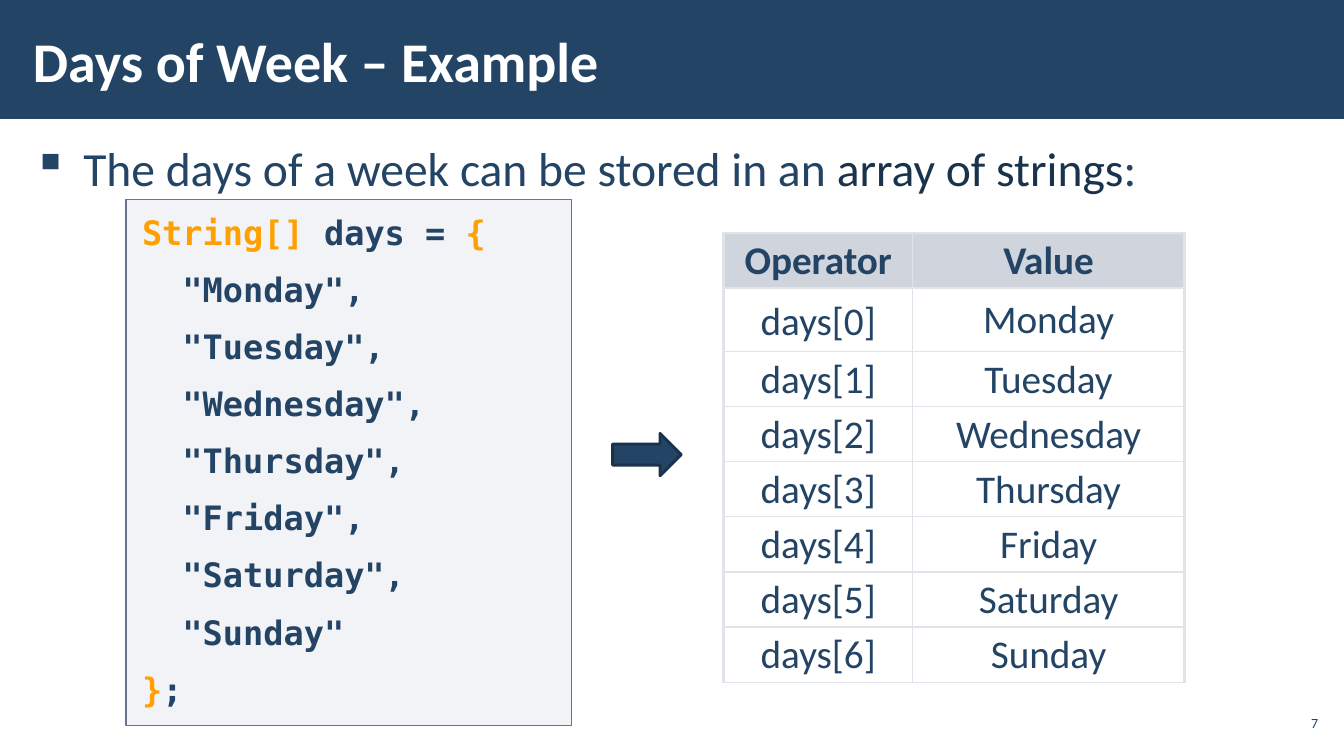
import pptx
import pptx.dml.color
import pptx.enum.shapes
import pptx.enum.text
import pptx.oxml
import pptx.oxml.ns
import pptx.util

Cm = pptx.util.Cm
Pt = pptx.util.Pt
ALIGN = pptx.enum.text.PP_ALIGN
ANCHOR = pptx.enum.text.MSO_ANCHOR
SHAPE = pptx.enum.shapes.MSO_SHAPE
HUES = {
    "navy": "234465", "dark": "1A334C", "edge": "1A324B", "white": "FFFFFF",
    "gold": "FFA000", "panel": "ADB4C3", "frame": "67748E",
    "head": "A3ABBC", "grid": "E0E3E9",
}
DAYS = ["Monday", "Tuesday", "Wednesday", "Thursday", "Friday", "Saturday", "Sunday"]
SANS, MONO = "Calibri", "DejaVu Sans Mono"


def tint(name):
    """Return the colour of the given name."""
    return pptx.dml.color.RGBColor.from_string(HUES[name])


def paint(fill, name):
    """Fill with one solid colour."""
    fill.solid()
    fill.fore_color.rgb = tint(name)


def fade(node, share):
    """Set the opacity of the first colour below an XML node, in percent."""
    hue = node.find(".//" + pptx.oxml.ns.qn("a:srgbClr"))
    mark = f'<a:alpha {pptx.oxml.ns.nsdecls("a")} val="{share * 1000}"/>'
    hue.append(pptx.oxml.parse_xml(mark))


def write(para, parts, size, face, bold=False):
    """Add runs given as pairs of text and colour name."""
    for text, name in parts:
        run = para.add_run()
        run.text = text
        font = run.font
        font.size, font.name, font.bold = Pt(size), face, bold
        font.color.rgb = tint(name)


def pad(frame, side, top, anchor):
    """Set the margins, anchor and wrapping of a text frame."""
    frame.margin_left = frame.margin_right = Cm(side)
    frame.margin_top = frame.margin_bottom = Cm(top)
    frame.vertical_anchor = anchor
    frame.word_wrap = True


def place(slide, kind, box, fill, line=None, width=1):
    """Add a preset shape with its fill and outline."""
    shape = slide.shapes.add_shape(kind, *map(Cm, box))
    shape.shadow.inherit = False
    paint(shape.fill, fill)
    if line:
        paint(shape.line.fill, line)
        shape.line.width = Pt(width)
    else:
        shape.line.fill.background()
    return shape


def banner(slide, box, text):
    """Draw the title band and set the title on it."""
    left, top, wide, high = box
    band = place(slide, SHAPE.RECTANGLE, box, "navy")
    title = slide.shapes.title
    title.element.addprevious(band.element)
    title.left, title.top = Cm(left + 0.53), Cm(top + 0.33)
    title.width, title.height = Cm(wide - 7.46), Cm(high - 0.58)
    pad(title.text_frame, 0.3, 0.1, ANCHOR.MIDDLE)
    para = title.text_frame.paragraphs[0]
    para.alignment = ALIGN.LEFT
    write(para, [(text, "white")], 40, SANS, True)


def lead(slide, box):
    """Write the bulleted lead sentence."""
    frame = slide.shapes.add_textbox(*map(Cm, box)).text_frame
    pad(frame, 0.3, 0.1, ANCHOR.TOP)
    para = frame.paragraphs[0]
    para.line_spacing = 1.05
    para.space_before = para.space_after = Pt(6)
    write(para, [("The days of a week can be stored in an ", "navy"),
                 ("array of strings", "dark"), (":", "navy")], 34, SANS)
    props = para._p.get_or_add_pPr()
    props.set("marL", str(Cm(1.27)))
    props.set("indent", str(-Cm(1.27)))
    mark = f'<a:buChar {pptx.oxml.ns.nsdecls("a")} char="▪"/>'
    props.append(pptx.oxml.parse_xml(mark))


def code(slide, box):
    """Draw the code panel with the array of days."""
    panel = place(slide, SHAPE.RECTANGLE, box, "panel", "frame")
    fade(panel.element.spPr, 15)
    frame = panel.text_frame
    pad(frame, 0.4, 0.3, ANCHOR.TOP)
    frame.auto_size = pptx.enum.text.MSO_AUTO_SIZE.SHAPE_TO_FIT_TEXT
    items = [f'"{day}",' for day in DAYS[:-1]] + [f'"{DAYS[-1]}"']
    lines = [[("String[]", "gold"), (" days = ", "navy"), ("{", "gold")]]
    lines += [[(item, "navy")] for item in items]
    lines.append([("}", "gold"), (";", "navy")])
    for row, parts in enumerate(lines):
        para = frame.add_paragraph() if row else frame.paragraphs[0]
        para.alignment = ALIGN.LEFT
        para.space_before = para.space_after = Pt(6)
        if 0 < row < len(lines) - 1:
            para._p.get_or_add_pPr().set("marL", str(Cm(1.02)))
        write(para, parts, 24, MONO, True)


def rule(cell, sides):
    """Draw cell borders, given as widths in points by side."""
    props = cell._tc.get_or_add_tcPr()
    for spot, side in enumerate("LRTB"):
        props.insert(spot, pptx.oxml.parse_xml(
            f'<a:ln{side} {pptx.oxml.ns.nsdecls("a")} w="{Pt(sides[side])}">'
            f'<a:solidFill><a:srgbClr val="{HUES["grid"]}"/></a:solidFill></a:ln{side}>'))


def grid(slide, box):
    """Build the table of array elements and their values."""
    rows = [("Operator", "Value")]
    rows += [(f"days[{spot}]", day) for spot, day in enumerate(DAYS)]
    table = slide.shapes.add_table(len(rows), 2, *map(Cm, box)).table
    table.first_row = table.horz_banding = False
    for col, share in zip(table.columns, (0.41, 0.59)):
        col.width = Cm(box[2] * share)
    for r, texts in enumerate(rows):
        table.rows[r].height = Cm(1.59 if r == 1 else 1.38)
        for c, text in enumerate(texts):
            cell = table.cell(r, c)
            cell.margin_left = cell.margin_right = Cm(0.4)
            cell.margin_top = cell.margin_bottom = Cm(0.13)
            cell.vertical_anchor = ANCHOR.MIDDLE
            para = cell.text_frame.paragraphs[0]
            para.alignment = ALIGN.CENTER
            para.line_spacing = Pt(38) if (r, c) == (1, 0) else 0.95
            write(para, [(text, "navy")], 28, SANS, r == 0)
            if r == 0:
                paint(cell.fill, "head")
                fade(cell._tc.tcPr, 50)
            else:
                cell.fill.background()
            rule(cell, {"L": 1 if c else 2.25, "R": 2.25 if c else 1,
                        "T": 2.25 if r < 2 else 1, "B": 1 if r else 2.25})


def folio(slide, box, text):
    """Write the page number."""
    frame = slide.shapes.add_textbox(*map(Cm, box)).text_frame
    pad(frame, 0.1, 0.1, ANCHOR.MIDDLE)
    para = frame.paragraphs[0]
    para.alignment = ALIGN.RIGHT
    write(para, [(text, "navy")], 10, SANS)


def main():
    """Build the slide and save it."""
    deck = pptx.Presentation()
    deck.slide_width, deck.slide_height = Cm(33.87), Cm(19.05)
    slide = deck.slides.add_slide(deck.slide_layouts[5])
    banner(slide, (0, -0.05, 33.87, 3.05), "Days of Week – Example")
    lead(slide, (0.53, 3.33, 32.79, 14.4))
    folio(slide, (32.13, 17.78, 1.19, 0.86), "7")
    code(slide, (3.18, 5.03, 11.23, 13.26))
    place(slide, SHAPE.RIGHT_ARROW, (15.44, 10.92, 1.73, 1.07), "navy", "edge", 2)
    grid(slide, (18.24, 5.87, 11.61, 11.25))
    deck.save("out.pptx")


if __name__ == "__main__":
    main()
